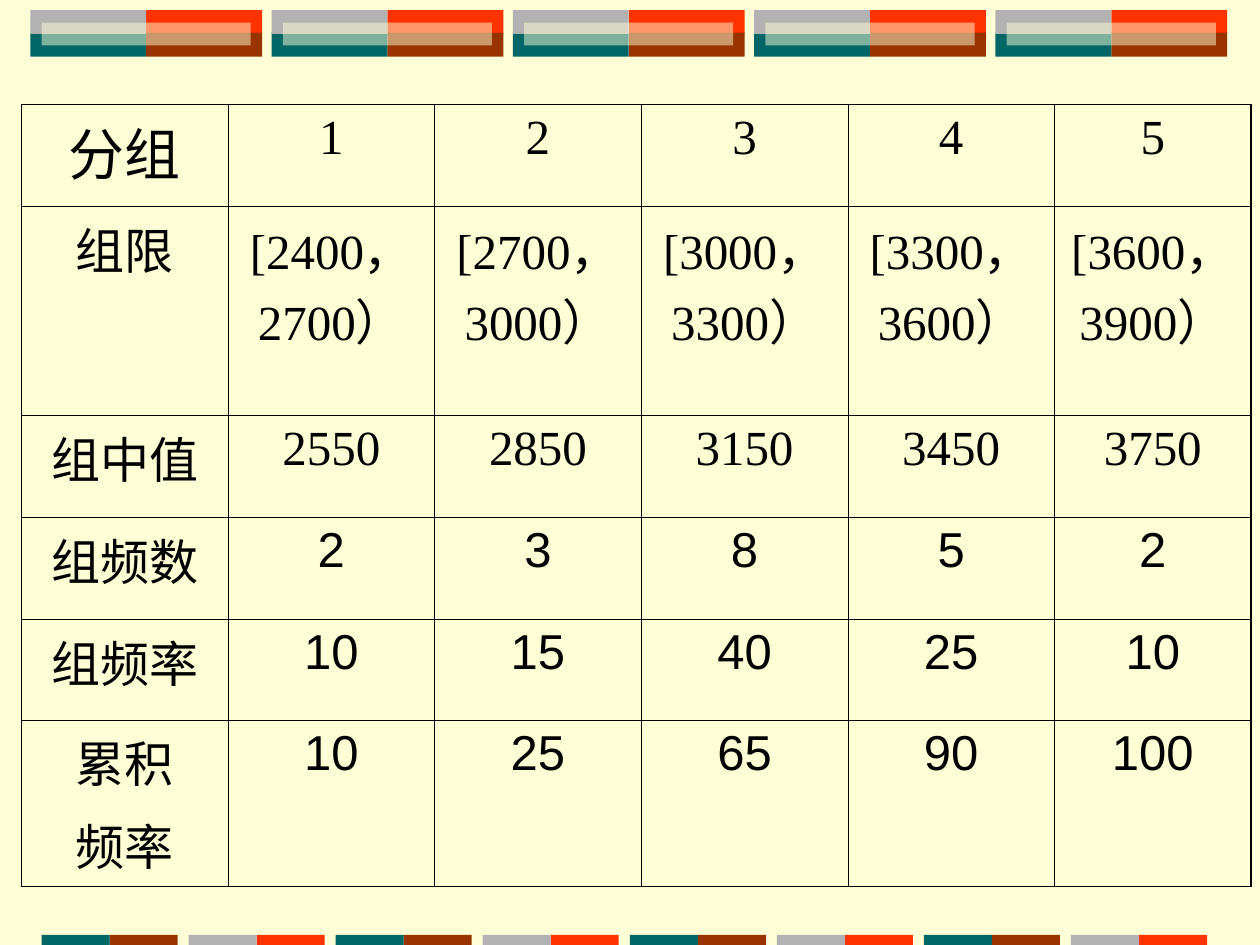
from lxml import etree
from pptx import Presentation
from pptx.dml.color import RGBColor
from pptx.enum.shapes import MSO_SHAPE
from pptx.enum.text import PP_ALIGN
from pptx.oxml.ns import qn
from pptx.util import Inches, Pt

RECT = MSO_SHAPE.RECTANGLE
CENTER = PP_ALIGN.CENTER
CREAM, BLACK = "FEFED6", "000000"
RED, BROWN, TEAL, GRAY = "FF3300", "993300", "006666", "B2B2B2"
SERIF, SANS = "Times New Roman", "Arial"
THIN, THICK = Pt(0.45), Pt(1.08)

ROWS = [
    ["分组", "1", "2", "3", "4", "5"],
    ["组限", "[2400，2700）", "[2700，3000）", "[3000，3300）",
     "[3300，3600）", "[3600，3900）"],
    ["组中值", "2550", "2850", "3150", "3450", "3750"],
    ["组频数", "2", "3", "8", "5", "2"],
    ["组频率", "10", "15", "40", "25", "10"],
    ["累积\n频率", "10", "25", "65", "90", "100"],
]
COL_WIDTHS = [1.64] * 5 + [1.56]
ROW_HEIGHTS = [0.81, 1.03, 0.81, 0.81, 0.8, 1.16]


def set_fill(fill, color, alpha=None):
    fill.solid()
    fill.fore_color.rgb = RGBColor.from_string(color)
    if alpha is not None:
        clr = fill._xPr.find(".//" + qn("a:srgbClr"))
        etree.SubElement(clr, qn("a:alpha")).set("val", str(alpha * 1000))


def add_rect(slide, x, y, w, h, color, alpha=None):
    sp = slide.shapes.add_shape(RECT, Inches(x), Inches(y), Inches(w), Inches(h))
    sp.shadow.inherit = False
    sp.line.fill.background()
    set_fill(sp.fill, color, alpha)


def add_top_band(slide, x, y, w, count=5):
    """Four-colour tiles, each with a translucent bar inside."""
    half, h, inset = 0.92, 0.18, 0.09
    pitch = (w - 2 * half) / (count - 1)
    for i in range(count):
        left = x + i * pitch
        for col, row, color in [(1, 0, RED), (1, 1, BROWN), (0, 1, TEAL), (0, 0, GRAY)]:
            add_rect(slide, left + col * half, y + row * h, half, h + 0.01, color)
        add_rect(slide, left + inset, y + 0.1, 2 * (half - inset), h, CREAM, 50)


def add_bottom_band(slide, x, y, w, h, count=8):
    """Two-colour strips in alternating pairs."""
    half = 0.54
    pitch = (w - 2 * half) / (count - 1)
    for i in range(count):
        left_color, right_color = [(TEAL, BROWN), (GRAY, RED)][i % 2]
        left = x + i * pitch
        add_rect(slide, left + half, y, half, h, right_color)
        add_rect(slide, left, y, half, h, left_color)


def set_borders(cell, widths):
    tcPr = cell._tc.get_or_add_tcPr()
    for side, width in widths.items():
        ln = etree.SubElement(tcPr, qn("a:ln" + side), w=str(int(width)))
        fill = etree.SubElement(ln, qn("a:solidFill"))
        etree.SubElement(fill, qn("a:srgbClr"), val=BLACK)


def fill_cell(cell, text, size, font, space):
    tf = cell.text_frame
    tf.text = text
    for p in tf.paragraphs:
        for name, value in {"alignment": CENTER, "space_before": Pt(space)}.items():
            setattr(p, name, value)
        for r in p.runs:
            for name, value in {"size": Pt(size), "name": font}.items():
                setattr(r.font, name, value)
            r.font.color.rgb = RGBColor.from_string(BLACK)


def add_frequency_table(slide, x, y, w, h):
    n_rows, n_cols = len(ROWS), len(COL_WIDTHS)
    table = slide.shapes.add_table(
        n_rows, n_cols, Inches(x), Inches(y), Inches(w), Inches(h)).table
    table.first_row = table.horz_banding = False
    for col, width in zip(table.columns, COL_WIDTHS):
        col.width = Inches(width)
    for row, height in zip(table.rows, ROW_HEIGHTS):
        row.height = Inches(height)
    for i, texts in enumerate(ROWS):
        for j, text in enumerate(texts):
            cell = table.cell(i, j)
            # Thick outer frame, thin inner grid
            set_borders(cell, {
                "L": THICK if j == 0 else THIN,
                "R": THICK if j == n_cols - 1 else THIN,
                "T": THICK if i == 0 else THIN,
                "B": THICK if i == n_rows - 1 else THIN,
            })
            cell.fill.background()
            corner = i == j == 0
            fill_cell(cell, text, 32 if corner else 28,
                      SERIF if i < 3 and j > 0 else SANS, 8 if corner else 7)


prs = Presentation()
prs.slide_width, prs.slide_height = Inches(10), Inches(7.5)
s = prs.slides.add_slide(prs.slide_layouts[6])
set_fill(s.background.fill, CREAM)
add_top_band(s, 0.24, 0.08, 9.5)
add_bottom_band(s, 0.33, 7.42, 9.25, 0.08)
add_frequency_table(s, 0.17, 0.83, 9.75, 5.42)
prs.save("out.pptx")
